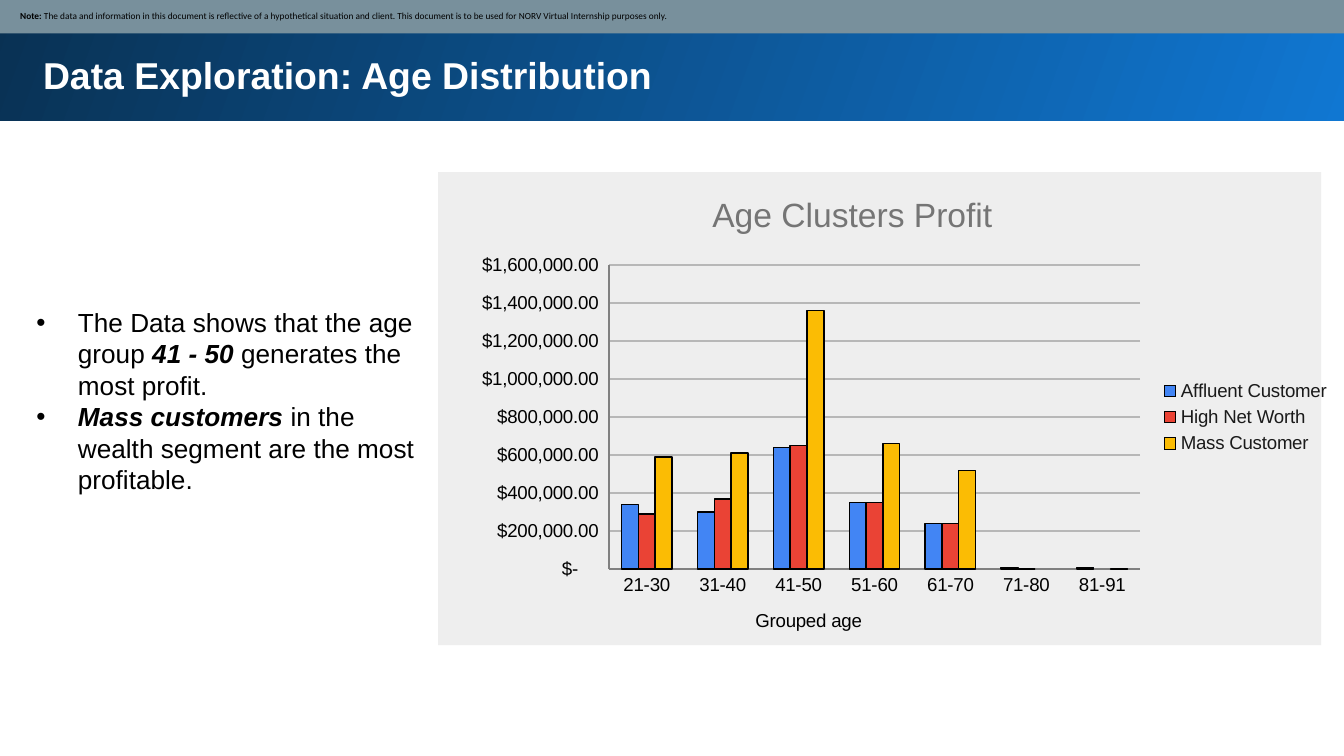
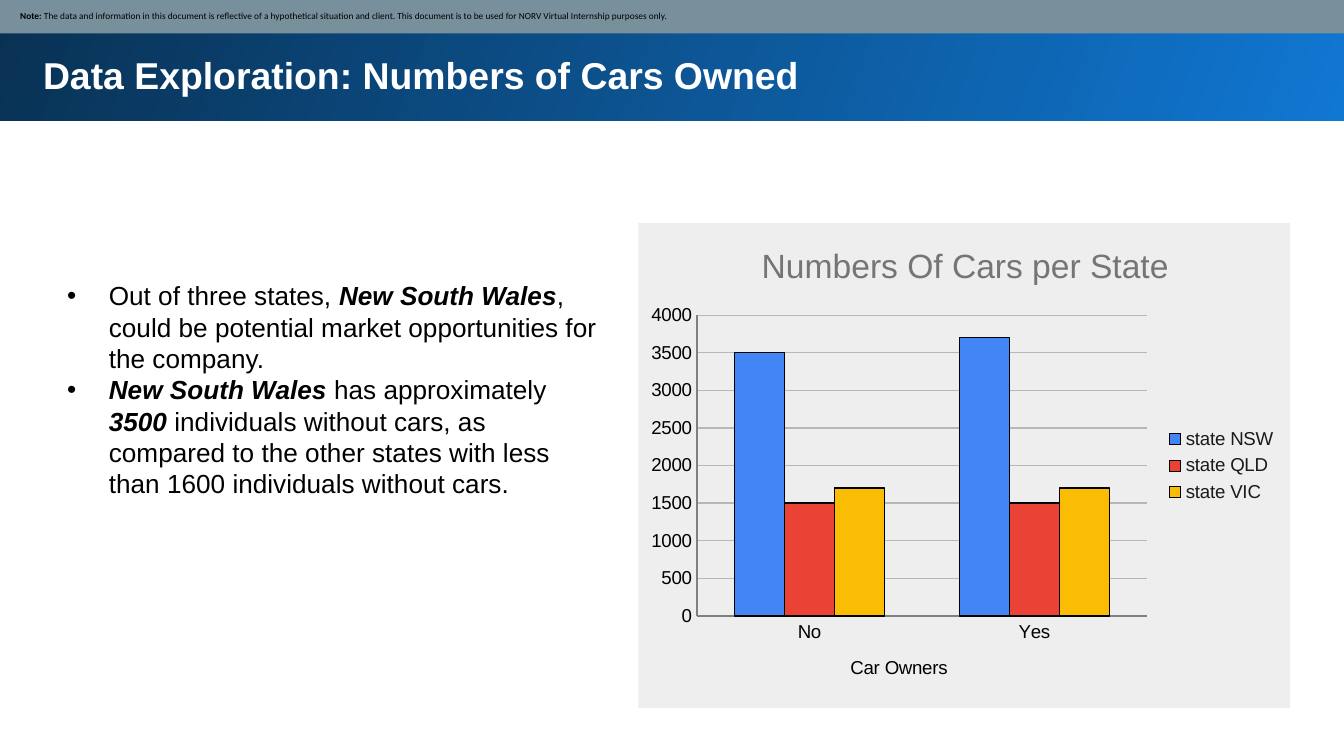
"""Build two data exploration slides, each pairing findings with a column chart."""
from dataclasses import dataclass

from lxml import etree
from pptx import Presentation
from pptx.chart.chart import Chart
from pptx.chart.data import CategoryChartData
from pptx.dml.color import RGBColor
from pptx.enum import chart as chart_enum, shapes, text
from pptx.oxml import parse_xml
from pptx.oxml.ns import nsdecls, qn
from pptx.shapes.autoshape import Shape
from pptx.slide import Slide
from pptx.text.text import Font, TextFrame
from pptx.util import Inches, Pt


def rgb(value: str) -> RGBColor:
    return RGBColor.from_string(value)


@dataclass(frozen=True)
class Theme:
    black: RGBColor = rgb("000000")
    white: RGBColor = rgb("FFFFFF")
    bright_blue: RGBColor = rgb("1077D2")
    navy: RGBColor = rgb("093153")
    slate: RGBColor = rgb("78909C")
    panel: RGBColor = rgb("EEEEEE")
    grid: RGBColor = rgb("B7B7B7")
    axis: RGBColor = rgb("808080")
    chart_title: RGBColor = rgb("757575")
    legend: RGBColor = rgb("1A1A1A")
    series: tuple[RGBColor, ...] = (rgb("4285F4"), rgb("EA4335"), rgb("FBBC04"))
    main_font: str = "Arial"
    note_font: str = "Calibri"
    title_size: float = 20
    body_size: float = 14
    chart_title_size: float = 18
    chart_size: float = 10
    note_size: float = 5


@dataclass(frozen=True)
class Box:
    left: float
    top: float
    width: float
    height: float

    def emu(self) -> tuple[int, int, int, int]:
        return (Inches(self.left), Inches(self.top),
                Inches(self.width), Inches(self.height))


@dataclass(frozen=True)
class Span:
    words: str
    strong: bool = False


@dataclass(frozen=True)
class ColumnChart:
    title: str
    title_left: float
    axis_title: str
    box: Box
    plot_left: float
    plot_width: float
    categories: tuple[str, ...]
    series: dict[str, tuple[int | None, ...]]
    top_value: int
    step: int
    number_format: str


@dataclass(frozen=True)
class Exploration:
    title: str
    title_height: float
    findings_box: Box
    findings_inset: float
    findings: tuple[tuple[Span, ...], ...]
    panel: Box
    chart: ColumnChart


THEME = Theme()
HEADER = Box(-0.02, -0.02, 10.05, 0.92)
NOTE_BAND = Box(-0.01, -0.01, 10.03, 0.26)
CAR_PANEL = Box(4.75, 1.66, 4.85, 3.61)
PLOT_TOP, PLOT_HEIGHT, CHART_TITLE_TOP = 0.19, 0.62, 0.03
BULLET_INDENT = 0.31
NOTE = (
    Span("Note: ", True),
    Span("The data and information in this document is reflective of a hypothetical "
         "situation and client. This document is to be used for NORV Virtual "
         "Internship purposes only."),
)

EXPLORATIONS = (
    Exploration(
        "Data Exploration: Age Distribution", 1.21,
        Box(0.22, 2.23, 3.04, 2.22), 0.05,
        ((Span("The Data shows that the age group "), Span("41 - 50 ", True),
          Span("generates the most profit.")),
         (Span("Mass customers ", True),
          Span("in the wealth segment are the most profitable."))),
        Box(3.26, 1.28, 6.57, 3.52),
        ColumnChart(
            "Age Clusters Profit", 0.28, "Grouped age",
            Box(3.41, 1.28, 6.59, 3.65), 0.17, 0.6,
            ("21-30", "31-40", "41-50", "51-60", "61-70", "71-80", "81-91"),
            {"Affluent Customer": (340000, 300000, 640000, 350000, 240000, 10000, 10000),
             "High Net Worth": (290000, 370000, 650000, 350000, 240000, 0, None),
             "Mass Customer": (590000, 610000, 1360000, 660000, 520000, None, 0)},
            1600000, 200000,
            '_("$"* #,##0.00_);_("$"* \\(#,##0.00\\);_("$"* "-"??_);_(@_)'),
    ),
    Exploration(
        "Data Exploration: Numbers of Cars Owned", 0.88,
        Box(0.45, 1.8, 4.1, 1.99), 0.28,
        ((Span("Out of three states, "), Span("New South Wales", True),
          Span(", could be potential market opportunities for the company.")),
         (Span("New South Wales ", True), Span("has approximately "),
          Span("3500 ", True),
          Span("individuals without cars, as compared to the other states with less "
               "than 1600 individuals without cars."))),
        CAR_PANEL,
        ColumnChart(
            "Numbers Of Cars per State", 0.18, "Car Owners",
            CAR_PANEL, 0.09, 0.69, ("No", "Yes"),
            {"state NSW": (3500, 3700), "state QLD": (1500, 1500),
             "state VIC": (1700, 1700)},
            4000, 500, "General"),
    ),
)


def style_font(font: Font, size: float, color: RGBColor, name: str = THEME.main_font,
               bold: bool = False, italic: bool = False) -> None:
    font.name, font.size, font.bold, font.italic = name, Pt(size), bold, italic
    font.color.rgb = color


def set_frame(frame: TextFrame, inset: float, anchor: text.MSO_ANCHOR) -> None:
    frame.word_wrap = True
    frame.auto_size = text.MSO_AUTO_SIZE.NONE
    frame.vertical_anchor = anchor
    frame.margin_left = frame.margin_right = Inches(inset)
    frame.margin_top = frame.margin_bottom = Inches(inset)


def place(shape: Shape, box: Box) -> None:
    shape.left, shape.top, shape.width, shape.height = box.emu()


def add_band(slide: Slide, box: Box, color: RGBColor | None = None) -> Shape:
    band = slide.shapes.add_shape(shapes.MSO_SHAPE.RECTANGLE, *box.emu())
    band.shadow.inherit = False
    band.line.fill.background()
    if color is None:
        band.fill.gradient()
        band.fill.gradient_angle = 160
        for stop, shade in zip(band.fill.gradient_stops, (THEME.bright_blue, THEME.navy)):
            stop.color.rgb = shade
    else:
        band.fill.solid()
        band.fill.fore_color.rgb = color
    return band


def add_note(slide: Slide) -> None:
    frame = add_band(slide, NOTE_BAND, THEME.slate).text_frame
    set_frame(frame, 0.05, text.MSO_ANCHOR.MIDDLE)
    frame.margin_left = Inches(0.16)
    sentence = frame.paragraphs[0]
    sentence.alignment = text.PP_ALIGN.LEFT
    for span in NOTE:
        run = sentence.add_run()
        run.text = span.words
        style_font(run.font, THEME.note_size, THEME.black, THEME.note_font, span.strong)


def fill_title(slide: Slide, exploration: Exploration) -> None:
    heading = slide.shapes.title
    place(heading, Box(0.22, 0.29, 9.37, exploration.title_height))
    set_frame(heading.text_frame, 0.1, text.MSO_ANCHOR.TOP)
    heading.text_frame.text = exploration.title
    line = heading.text_frame.paragraphs[0]
    line.alignment = text.PP_ALIGN.LEFT
    style_font(line.runs[0].font, THEME.title_size, THEME.white, bold=True)


def fill_findings(slide: Slide, exploration: Exploration) -> None:
    body = slide.placeholders[1]
    place(body, exploration.findings_box)
    frame = body.text_frame
    set_frame(frame, 0.05, text.MSO_ANCHOR.TOP)
    frame.margin_top = Inches(exploration.findings_inset)
    for index, spans in enumerate(exploration.findings):
        finding = frame.add_paragraph() if index else frame.paragraphs[0]
        finding.space_before = Pt(0)
        finding.line_spacing = 1.0
        properties = finding._p.get_or_add_pPr()
        properties.set("marL", str(Inches(BULLET_INDENT)))
        properties.set("indent", str(-Inches(BULLET_INDENT)))
        for span in spans:
            run = finding.add_run()
            run.text = span.words
            style_font(run.font, THEME.body_size, THEME.black,
                       bold=span.strong, italic=span.strong)


def set_layout(parent: etree._Element, after: str | None, **values: float | str) -> None:
    for old in parent.findall(qn("c:layout")):
        parent.remove(old)
    settings = "".join(f'<c:{key} val="{value}"/>' for key, value in values.items())
    layout = parse_xml(f'<c:layout {nsdecls("c")}><c:manualLayout>{settings}'
                       '</c:manualLayout></c:layout>')
    if after:
        parent.find(qn(after)).addnext(layout)
    else:
        parent.insert(0, layout)


def style_axes(chart: Chart, details: ColumnChart) -> None:
    for axis in (chart.category_axis, chart.value_axis):
        axis.major_tick_mark = axis.minor_tick_mark = chart_enum.XL_TICK_MARK.NONE
        axis.format.line.color.rgb = THEME.axis
        style_font(axis.tick_labels.font, THEME.chart_size, THEME.black)
    caption = chart.category_axis.axis_title.text_frame
    caption.text = details.axis_title
    style_font(caption.paragraphs[0].runs[0].font, THEME.chart_size, THEME.black)
    values = chart.value_axis
    values.minimum_scale, values.maximum_scale = 0, details.top_value
    values.major_unit = details.step
    values.tick_labels.number_format = details.number_format
    values.tick_labels.number_format_is_linked = False
    values.major_gridlines.format.line.color.rgb = THEME.grid
    values.major_gridlines.format.line.width = Pt(0.75)


def add_columns(slide: Slide, details: ColumnChart) -> None:
    data = CategoryChartData(number_format=details.number_format)
    data.categories = details.categories
    for name, values in details.series.items():
        data.add_series(name, values)
    chart = slide.shapes.add_chart(chart_enum.XL_CHART_TYPE.COLUMN_CLUSTERED,
                                   *details.box.emu(), data).chart
    style_font(chart.font, THEME.chart_size, THEME.black)
    chart.has_title = True
    heading = chart.chart_title.text_frame
    heading.text = details.title
    style_font(heading.paragraphs[0].runs[0].font, THEME.chart_title_size, THEME.chart_title)
    chart.has_legend = True
    chart.legend.position = chart_enum.XL_LEGEND_POSITION.RIGHT
    chart.legend.include_in_layout = False
    style_font(chart.legend.font, THEME.chart_size, THEME.legend)
    columns = chart.plots[0]
    columns.gap_width = 150
    columns.vary_by_categories = False
    for series, color in zip(columns.series, THEME.series):
        series.format.fill.solid()
        series.format.fill.fore_color.rgb = color
        series.format.line.color.rgb = THEME.black
        series.format.line.width = Pt(0.75)
    style_axes(chart, details)
    root = chart.element.find(qn("c:chart"))
    set_layout(root.find(qn("c:title")), "c:tx", xMode="edge", yMode="edge",
               x=details.title_left, y=CHART_TITLE_TOP)
    set_layout(root.find(qn("c:plotArea")), None, layoutTarget="inner", xMode="edge",
               yMode="edge", x=details.plot_left, y=PLOT_TOP,
               w=details.plot_width, h=PLOT_HEIGHT)
    root.addnext(parse_xml(f'<c:spPr {nsdecls("c", "a")}><a:noFill/>'
                           '<a:ln><a:noFill/></a:ln></c:spPr>'))


def add_exploration(deck: Presentation, exploration: Exploration) -> None:
    slide = deck.slides.add_slide(deck.slide_layouts[1])
    header = add_band(slide, HEADER)
    slide.shapes.title.element.addprevious(header.element)
    fill_title(slide, exploration)
    panel = add_band(slide, exploration.panel, THEME.panel)
    slide.shapes.title.element.addnext(panel.element)
    fill_findings(slide, exploration)
    add_note(slide)
    add_columns(slide, exploration.chart)


def main() -> None:
    deck = Presentation()
    deck.slide_width = Inches(10)
    deck.slide_height = deck.slide_width * 9 // 16
    for exploration in EXPLORATIONS:
        add_exploration(deck, exploration)
    deck.save("out.pptx")


main()
